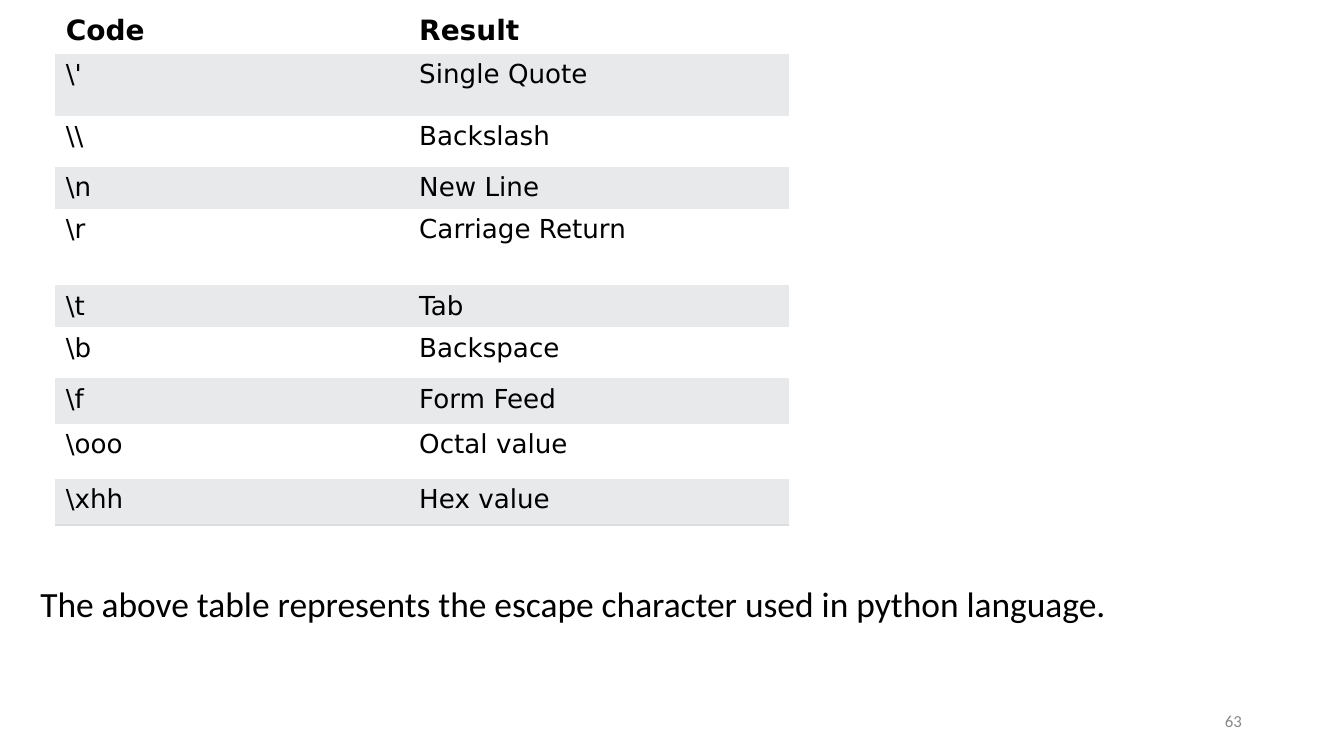
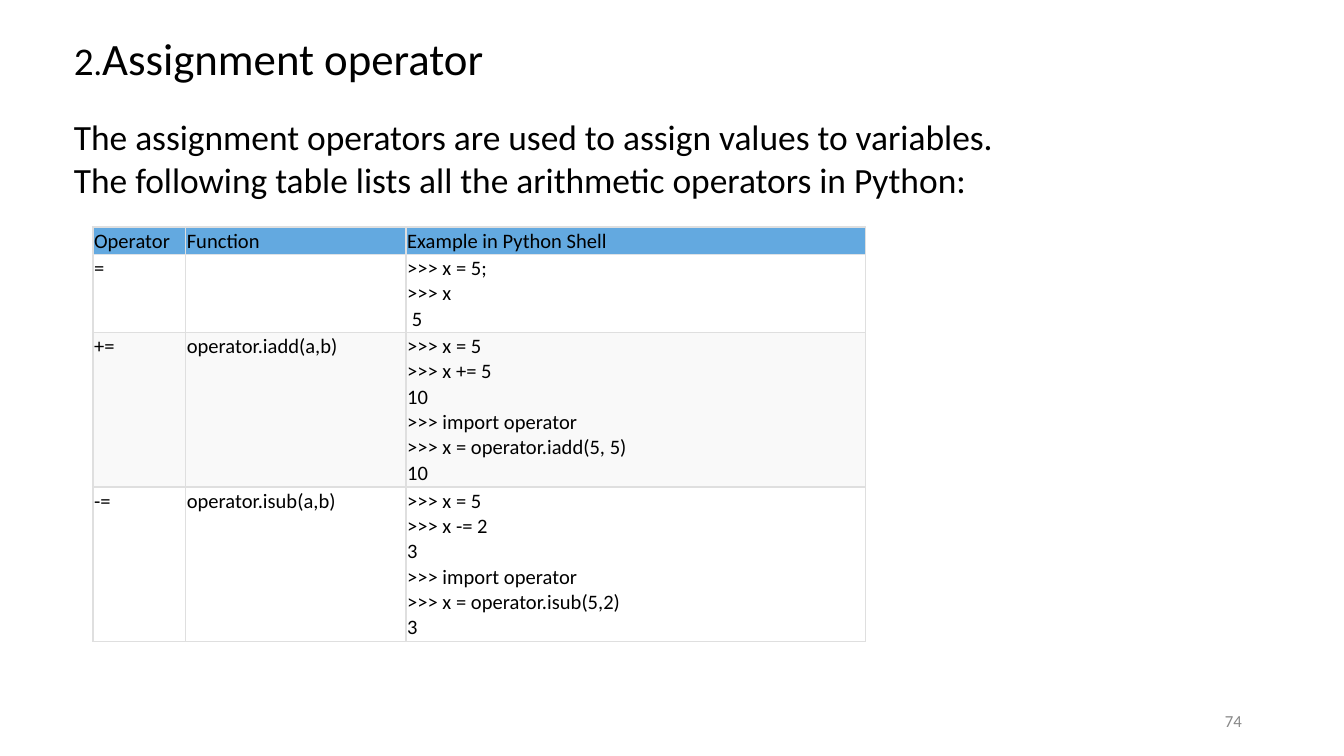
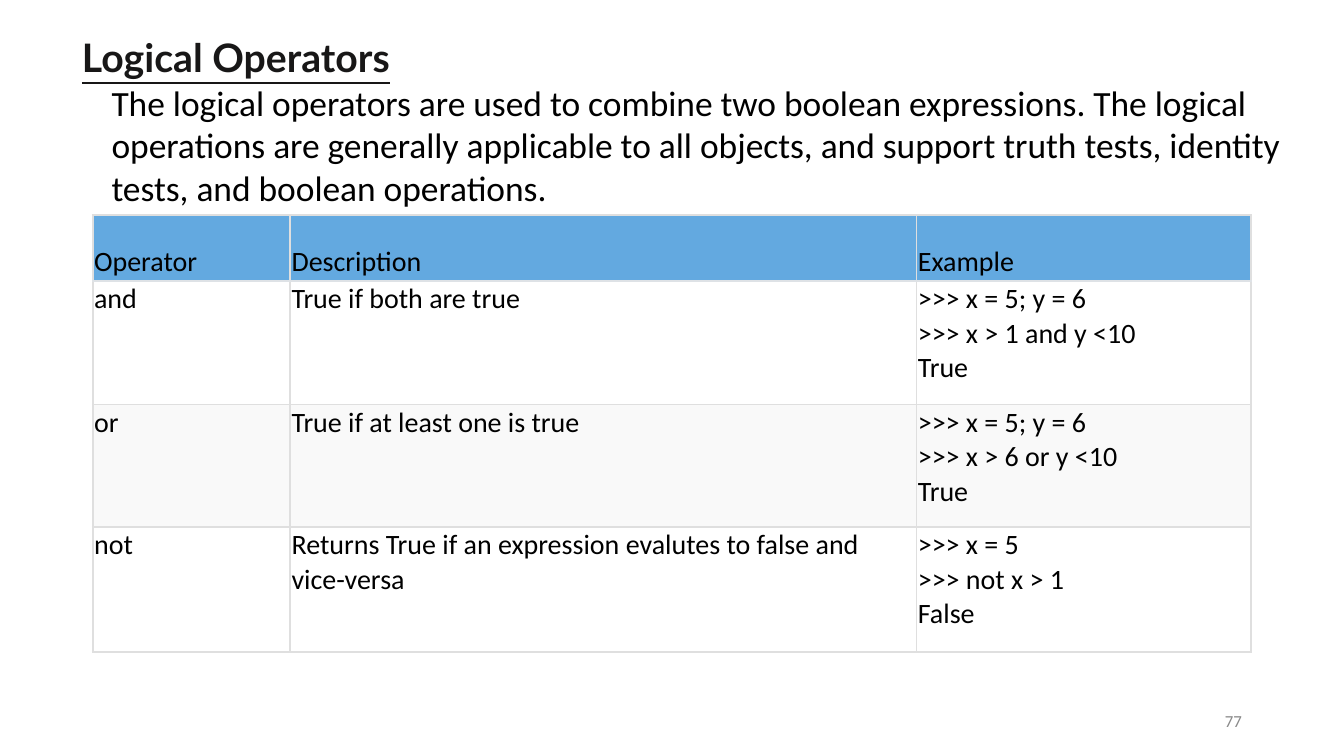
import lxml.etree
import pptx
import pptx.dml.color
import pptx.enum.text
import pptx.oxml.ns
import pptx.util

Inches = pptx.util.Inches
Pt = pptx.util.Pt
RGBColor = pptx.dml.color.RGBColor
PP_ALIGN = pptx.enum.text.PP_ALIGN
MSO_ANCHOR = pptx.enum.text.MSO_ANCHOR
qn = pptx.oxml.ns.qn

COLORS = {
    "text": "000000", "heading": "181717", "number": "888888",
    "white": "FFFFFF", "grey band": "E7E9EB", "light band": "F9F9F9",
    "header": "63A9E0", "grid": "DFDFDF", "header rule": "DEE2E6",
    "closing rule": "DDDDDD",
}
BODY_FONT = "Calibri"
CODE_FONT = "DejaVu Sans"
NO_STYLE = "{2D5ABB26-0587-4C30-8999-92F81FD0307C}"


def add_text(frame, paragraphs, font=BODY_FONT, color="text", bold=False):
    """Write paragraphs, each a list of (text, size) runs."""
    for index, runs in enumerate(paragraphs):
        para = frame.paragraphs[0] if index == 0 else frame.add_paragraph()
        for text, size in runs:
            span = para.add_run()
            span.text = text
            span.font.size = Pt(size)
            span.font.name = font
            span.font.bold = bold
            span.font.color.rgb = RGBColor.from_string(COLORS[color])


def add_table(page, left, top, widths, heights, rows, size, grid=True):
    """Add a banded table: gridded with a blue header, or plain with a closing rule."""
    table = page.shapes.add_table(
        len(rows), len(widths), Inches(left), Inches(top),
        Inches(sum(widths)), Inches(sum(heights))).table
    table._tbl.tblPr.find(qn("a:tableStyleId")).text = NO_STYLE
    for column, width in zip(table.columns, widths):
        column.width = Inches(width)
    for r, (row, height) in enumerate(zip(rows, heights)):
        table.rows[r].height = Inches(height)
        is_header, is_last = r == 0, r == len(rows) - 1
        for c, text in enumerate(row):
            cell = table.cell(r, c)
            margin = 0.01 if grid else 0.04
            cell.margin_right = cell.margin_top = cell.margin_bottom = Inches(margin)
            cell.margin_left = Inches(margin if grid or c else 0.08)
            cell.vertical_anchor = MSO_ANCHOR.BOTTOM if grid and is_header else MSO_ANCHOR.TOP

            # Borders come before the fill in the cell properties
            borders = {}
            if grid:
                borders = dict.fromkeys("LRTB", "grid")
                if r < 2:
                    borders["B" if is_header else "T"] = "header rule"
            elif is_last:
                borders = {"B": "closing rule"}
            for side, color in borders.items():
                line = lxml.etree.SubElement(
                    cell._tc.get_or_add_tcPr(), qn("a:ln" + side), w=str(Pt(1)))
                fill = lxml.etree.SubElement(line, qn("a:solidFill"))
                lxml.etree.SubElement(fill, qn("a:srgbClr"), val=COLORS[color])

            if grid:
                fill_name = "header" if is_header else ("white" if r % 2 else "light band")
            else:
                fill_name = "grey band" if r % 2 else "white"
            cell.fill.solid()
            cell.fill.fore_color.rgb = RGBColor.from_string(COLORS[fill_name])

            plain_header = is_header and not grid
            if text:
                add_text(cell.text_frame,
                         [[(line, size + plain_header)] for line in text.split("\n")],
                         BODY_FONT if grid else CODE_FONT, bold=plain_header)


deck = pptx.Presentation()
deck.slide_width = Inches(10)
deck.slide_height = Inches(10 * 9 / 16)

# Pages with their text box and page number
frames = []
pages = []
for number, place in (("63", (0.23, 4.29, 9.39, 0.74)),
                      ("74", (0.48, 0.19, 7.43, 1.34)),
                      ("77", (0.54, 0.21, 9.13, 1.39))):
    page = deck.slides.add_slide(deck.slide_layouts[6])
    pages.append(page)
    for spot in (place, (7.06, 5.21, 2.25, 0.3)):
        box = page.shapes.add_textbox(*[Inches(length) for length in spot])
        frame = box.text_frame
        frame.word_wrap = True
        frame.margin_left = frame.margin_right = Inches(0.07)
        frame.margin_top = frame.margin_bottom = Inches(0.04)
        frames.append(frame)
    add_text(frame, [[(number, 9)]], color="number")
    frame.vertical_anchor = MSO_ANCHOR.MIDDLE
    frame.paragraphs[0].alignment = PP_ALIGN.RIGHT
escape_page, assignment_page, logical_page = pages
escape_frame, assignment_frame, logical_frame = frames[::2]

# Escape characters
add_table(escape_page, 0.41, 0.07, [2.67, 2.79],
          [0.33, 0.46, 0.38, 0.31, 0.57, 0.31, 0.38, 0.34, 0.41, 0.34],
          [("Code", "Result"),
           (r"\'", "Single Quote"),
           (r"\\", "Backslash"),
           (r"\n", "New Line"),
           (r"\r", "Carriage Return"),
           (r"\t", "Tab"),
           (r"\b", "Backspace"),
           (r"\f", "Form Feed"),
           (r"\ooo", "Octal value"),
           (r"\xhh", "Hex value")], 14, grid=False)
add_text(escape_frame, [[
    ("The above table represents the escape character used in python language.", 19)]])

# Assignment operators
add_text(assignment_frame, [
    [("2", 21), (".", 18), ("Assignment operator", 24)],
    [("The assignment operators are used to assign values to variables. "
      "The following table lists all the arithmetic operators in Python:", 19)]])
assignment_frame.paragraphs[1].space_before = Pt(16.5)
add_table(assignment_page, 0.69, 1.69, [0.69, 1.64, 3.42], [0.2, 0.58, 1.15, 1.15],
          [("Operator", "Function", "Example in Python Shell"),
           ("=", "", ">>> x = 5;\n>>> x\n 5"),
           ("+=", "operator.iadd(a,b)",
            ">>> x = 5\n>>> x += 5\n10\n>>> import operator\n"
            ">>> x = operator.iadd(5, 5)\n10"),
           ("-=", "operator.isub(a,b)",
            ">>> x = 5\n>>> x -= 2\n3\n>>> import operator\n"
            ">>> x = operator.isub(5,2)\n3")], 11)

# Logical operators
add_text(logical_frame, [[("Logical Operators", 21)]], "Lato", "heading", bold=True)
logical_frame.paragraphs[0].runs[0].font.underline = True
explanation = logical_frame.add_paragraph()
explanation._p.get_or_add_pPr().set("marL", str(Inches(0.22)))
span = explanation.add_run()
span.text = ("The logical operators are used to combine two boolean expressions. "
             "The logical operations are generally applicable to all objects, and "
             "support truth tests, identity tests, and boolean operations.")
span.font.size = Pt(19)
span.font.name = BODY_FONT
span.font.color.rgb = RGBColor.from_string(COLORS["text"])
add_table(logical_page, 0.69, 1.6, [1.47, 4.66, 2.49], [0.49, 0.92, 0.91, 0.93],
          [("Operator", "Description", "Example"),
           ("and", "True if both are true",
            ">>> x = 5; y = 6\n>>> x > 1 and y <10\nTrue"),
           ("or", "True if at least one is true",
            ">>> x = 5; y = 6\n>>> x > 6 or y <10\nTrue"),
           ("not", "Returns True if an expression evalutes to false and vice-versa",
            ">>> x = 5\n>>> not x > 1\nFalse")], 15)

deck.save("out.pptx")
